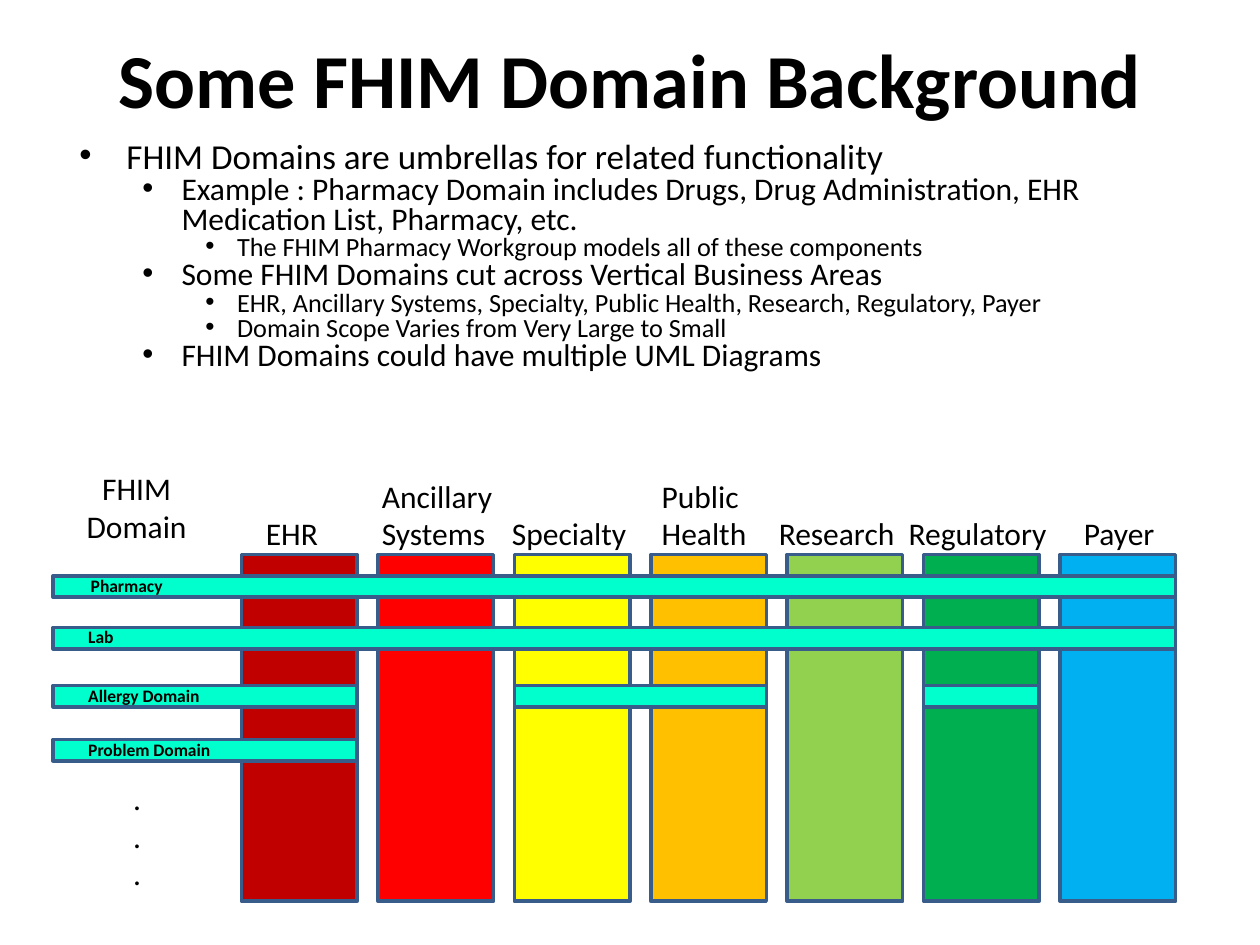
from lxml import etree
from pptx import Presentation
from pptx.dml.color import RGBColor
from pptx.enum.shapes import MSO_SHAPE
from pptx.enum.text import MSO_ANCHOR, MSO_AUTO_SIZE, PP_ALIGN
from pptx.oxml.ns import qn
from pptx.util import Cm, Pt

RECT = MSO_SHAPE.RECTANGLE
MIDDLE = MSO_ANCHOR.MIDDLE
GROW = MSO_AUTO_SIZE.SHAPE_TO_FIT_TEXT
LEFT, CENTER = PP_ALIGN.LEFT, PP_ALIGN.CENTER
FONT = "Calibri"

COLORS = {"text": "000000", "edge": "385D8A", "bar": "00FFCC"}

TITLE = "Some FHIM Domain Background"
POINTS = [
    (0, "FHIM Domains are umbrellas for related functionality"),
    (1, "Example : Pharmacy Domain includes Drugs, Drug Administration, "
        "EHR Medication List, Pharmacy, etc."),
    (2, "The FHIM Pharmacy Workgroup models all of these components"),
    (1, "Some FHIM Domains cut across Vertical Business Areas"),
    (2, "EHR, Ancillary Systems, Specialty, Public Health, Research, "
        "Regulatory, Payer"),
    (2, "Domain Scope Varies from Very Large to Small"),
    (1, "FHIM Domains could have multiple UML Diagrams"),
]
LEVELS = [(20, 0.95, 0.95), (18, 2.06, 0.79), (15, 3.18, 0.64)]

# (lines, fill, label left, label width)
AREAS = [
    (["EHR"], "C00000", 5.23, 1.42),
    (["Ancillary", "Systems"], "FF0000", 7.57, 2.97),
    (["Specialty"], "FFFF00", 10.19, 2.87),
    (["Public", "Health"], "FFC000", 13.21, 2.21),
    (["Research"], "92D050", 15.57, 2.82),
    (["Regulatory"], "00B050", 18.19, 3.33),
    (["Payer"], "00B0F0", 21.72, 1.85),
]
# (name, top, label left, label width, column spans; None is the left edge)
DOMAINS = [
    ("Pharmacy", 11.61, 1.7, 1.91, [(None, 6)]),
    ("Lab", 12.65, 1.65, 0.89, [(None, 6)]),
    ("Allergy Domain", 13.82, 1.65, 2.77, [(None, 0), (2, 3), (5, 5)]),
    ("Problem Domain", 14.91, 1.65, 3, [(None, 0)]),
]

COL_X, COL_Y, COL_W, COL_H, STEP = 4.87, 11.18, 2.33, 6.99, 2.75
EDGE_X, BAR_H = 1.07, 0.43
LINE_H, PAD = 0.76, 0.25
BASE = 11.25


def add_run(para, text, size, bold=False):
    run = para.add_run()
    run.text = text
    font = run.font
    font.name, font.size, font.bold = FONT, Pt(size), bold
    font.color.rgb = RGBColor.from_string(COLORS["text"])


def add_frame(slide, x, y, w, h, wrap=True):
    frame = slide.shapes.add_textbox(Cm(x), Cm(y), Cm(w), Cm(h)).text_frame
    frame.word_wrap = wrap
    frame.margin_left = frame.margin_right = Cm(0.13)
    frame.margin_top = frame.margin_bottom = Cm(0.13)
    return frame


def add_label(slide, lines, x, y, w, h, size=18, bold=False, align=LEFT):
    frame = add_frame(slide, x, y, w, h, wrap=False)
    frame.auto_size = GROW
    for i, line in enumerate(lines):
        para = frame.add_paragraph() if i else frame.paragraphs[0]
        para.alignment = align
        add_run(para, line, size, bold)


def add_rect(slide, x, y, w, h, fill):
    rect = slide.shapes.add_shape(RECT, Cm(x), Cm(y), Cm(w), Cm(h))
    rect.shadow.inherit = False
    rect.fill.solid()
    rect.fill.fore_color.rgb = RGBColor.from_string(fill)
    rect.line.color.rgb = RGBColor.from_string(COLORS["edge"])
    rect.line.width = Pt(2)


def add_points(slide):
    frame = add_frame(slide, 1.47, 2.74, 22.86, 6.35)
    for i, (level, text) in enumerate(POINTS):
        size, left, hang = LEVELS[level]
        para = frame.add_paragraph() if i else frame.paragraphs[0]
        para.level = level
        props = para._p.get_or_add_pPr()
        props.set("marL", str(Cm(left)))
        props.set("indent", str(-Cm(hang)))
        etree.SubElement(props, qn("a:buFont")).set("typeface", "Arial")
        etree.SubElement(props, qn("a:buChar")).set("char", "•")
        para.line_spacing = 0.8
        add_run(para, text, size)


def add_areas(slide):
    for i, (lines, fill, x, w) in enumerate(AREAS):
        add_rect(slide, COL_X + i * STEP, COL_Y, COL_W, COL_H, fill)
        h = len(lines) * LINE_H + PAD
        add_label(slide, lines, x, BASE - h, w, h)


def add_domains(slide):
    add_label(slide, ["FHIM", "Domain"], 1.55, 9.32, 2.41, 1.73, align=CENTER)
    for name, y, x, w, spans in DOMAINS:
        for first, last in spans:
            left = EDGE_X if first is None else COL_X + first * STEP
            right = COL_X + last * STEP + COL_W
            add_rect(slide, left, y, right - left, BAR_H, COLORS["bar"])
        add_label(slide, [name], x, y - 0.15, w, 0.64, 10, True)
    add_label(slide, ["."] * 3, 2.41, 15.57, 0.71, 2.49, align=CENTER)


def main():
    deck = Presentation()
    deck.slide_width, deck.slide_height = Cm(25.4), Cm(19.05)
    slide = deck.slides.add_slide(deck.slide_layouts[6])
    title = add_frame(slide, 1.27, 0.2, 22.86, 2.74)
    title.vertical_anchor = MIDDLE
    title.paragraphs[0].alignment = CENTER
    add_run(title.paragraphs[0], TITLE, 43.6, True)
    add_points(slide)
    add_areas(slide)
    add_domains(slide)
    deck.save("out.pptx")


if __name__ == "__main__":
    main()
